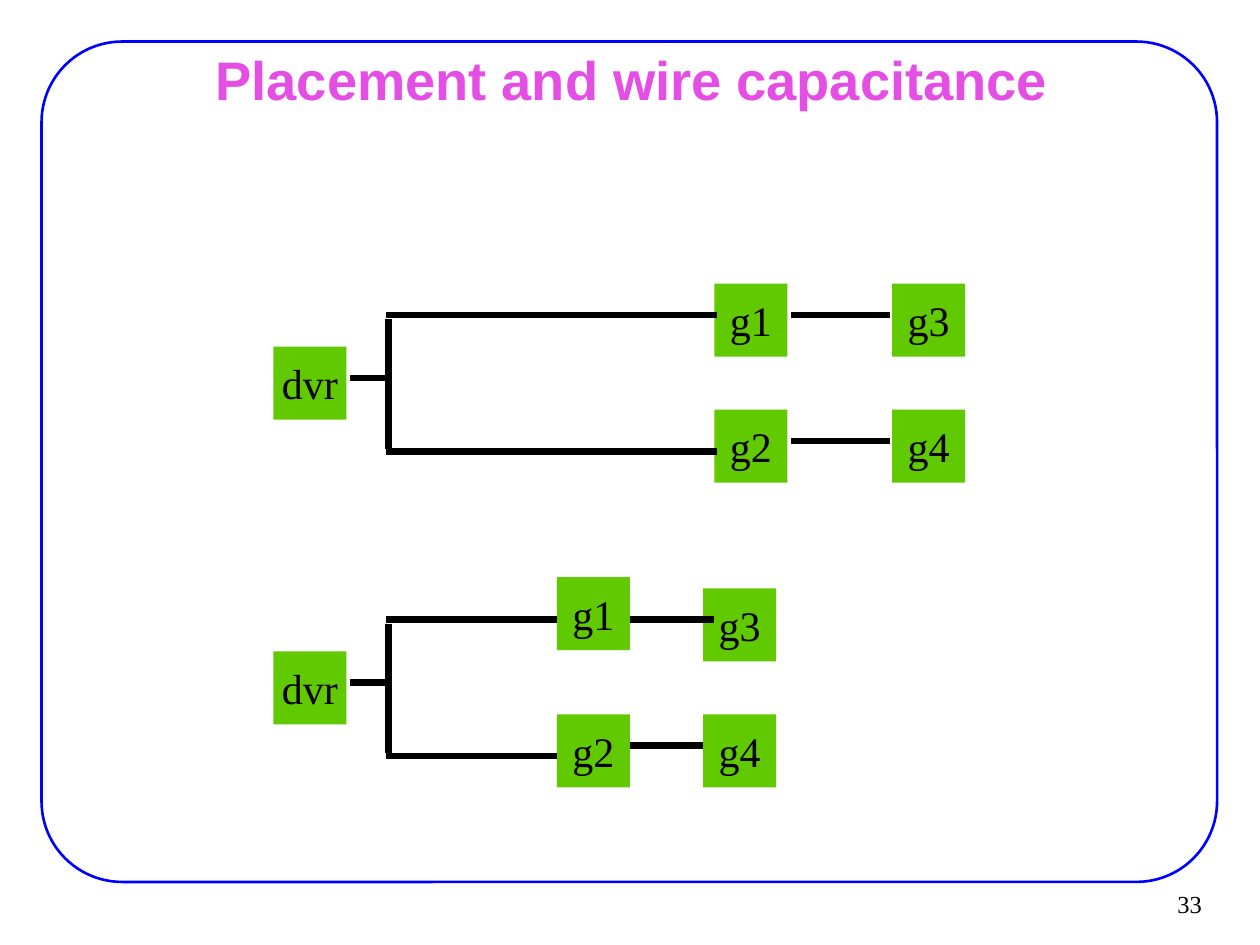
from dataclasses import dataclass
from lxml.etree import SubElement
from pptx import Presentation
from pptx.dml.color import RGBColor as RGB
from pptx.enum.shapes import MSO_CONNECTOR as Conn, MSO_SHAPE as Shape
from pptx.enum.text import MSO_ANCHOR as Anchor, PP_ALIGN as Align
from pptx.oxml.ns import qn
from pptx.util import Inches, Pt


@dataclass(frozen=True)
class Theme:
    frame: RGB = RGB(0x00, 0x00, 0xFF)
    title: RGB = RGB(0xE4, 0x4E, 0xE4)
    gate: RGB = RGB(0x60, 0xC9, 0x00)
    ink: RGB = RGB(0x00, 0x00, 0x00)
    head: str = "Arial"
    body: str = "Times New Roman"
    title_size: float = 31
    gate_size: float = 24
    page_size: float = 14
    frame_line: float = 1.5
    wire_line: float = 4


THEME = Theme()
TITLE = "Placement and wire capacitance"
PAGE = "33"

# Each circuit has its top, its gates (name, x, y) and the wires out of
# its gates (x1, x2, y); every y is measured from the circuit's top.
CIRCUITS = [
    {
        "top": 2.5,
        "gates": [("g1", 5.67, -0.25), ("g2", 5.67, 0.75),
                  ("g3", 7.08, -0.25), ("g4", 7.08, 0.75)],
        "branch": 5.69,
        "links": [(6.28, 7.06, 0), (6.28, 7.06, 1)],
    },
    {
        "top": 4.92,
        "gates": [("g1", 4.42, -0.34), ("g2", 4.42, 0.75),
                  ("g3", 5.58, -0.25), ("g4", 5.58, 0.75)],
        "branch": 4.42,
        "links": [(5, 5.67, 0), (5, 5.58, 1)],
    },
]
DRIVER = ("dvr", 2.17, 0.25)
SIDE = 0.58
STEM = (2.78, 3.06, 0.5)
TRUNK = (3.08, 0.03, 1.06)
DROP = 1.08


def write(shape, text, font, size, color, align, bold=False):
    frame = shape.text_frame
    frame.text = text
    para = frame.paragraphs[0]
    para.alignment = align
    face = para.runs[0].font
    face.name, face.size, face.bold = font, Pt(size), bold
    face.color.rgb = color
    return frame


def add_frame(slide):
    box = slide.shapes.add_shape(
        Shape.ROUNDED_RECTANGLE, *map(Inches, (0.33, 0.33, 9.33, 6.67)))
    box.adjustments[0] = 0.096
    box.shadow.inherit = False
    box.fill.background()
    box.line.color.rgb = THEME.frame
    box.line.width = Pt(THEME.frame_line)


def add_labels(slide):
    page = slide.shapes.add_textbox(*map(Inches, (9.02, 6.99, 0.61, 0.37)))
    frame = write(page, PAGE, THEME.body, THEME.page_size, THEME.ink,
                  Align.RIGHT)
    frame.vertical_anchor = Anchor.MIDDLE
    frame.word_wrap = False
    frame.margin_left = frame.margin_right = Inches(0.09)
    frame.margin_top = frame.margin_bottom = Inches(0.04)

    title = slide.shapes.add_textbox(*map(Inches, (0.76, 0.44, 8.5, 0.49)))
    frame = write(title, TITLE, THEME.head, THEME.title_size, THEME.title,
                  Align.CENTER, bold=True)
    frame.vertical_anchor = Anchor.BOTTOM
    frame.word_wrap = True


def add_gate(slide, name, x, y):
    gate = slide.shapes.add_shape(
        Shape.RECTANGLE, *map(Inches, (x, y, SIDE, SIDE)))
    gate.shadow.inherit = False
    gate.fill.solid()
    gate.fill.fore_color.rgb = THEME.gate
    gate.line.fill.background()
    frame = write(gate, name, THEME.body, THEME.gate_size, THEME.ink,
                  Align.CENTER)
    frame.vertical_anchor = Anchor.MIDDLE
    frame.word_wrap = False


def add_wire(slide, x1, y1, x2, y2):
    wire = slide.shapes.add_connector(
        Conn.STRAIGHT, *map(Inches, (x1, y1, x2, y2)))
    wire.line.color.rgb = THEME.ink
    wire.line.width = Pt(THEME.wire_line)
    SubElement(wire._element.spPr, qn("a:effectLst"))


def add_circuit(slide, plan):
    top = plan["top"]
    for name, x, y in [DRIVER, *plan["gates"]]:
        add_gate(slide, name, x, top + y)
    fork = STEM[1]
    arms = [(fork, plan["branch"], y) for y in (0, DROP)]
    for x1, x2, y in [STEM, *arms, *plan["links"]]:
        add_wire(slide, x1, top + y, x2, top + y)
    x, start, end = TRUNK
    add_wire(slide, x, top + start, x, top + end)


def main():
    deck = Presentation()
    deck.slide_width, deck.slide_height = Inches(10), Inches(7.5)
    slide = deck.slides.add_slide(deck.slide_layouts[6])
    add_frame(slide)
    add_labels(slide)
    for plan in CIRCUITS:
        add_circuit(slide, plan)
    deck.save("out.pptx")


if __name__ == "__main__":
    main()
